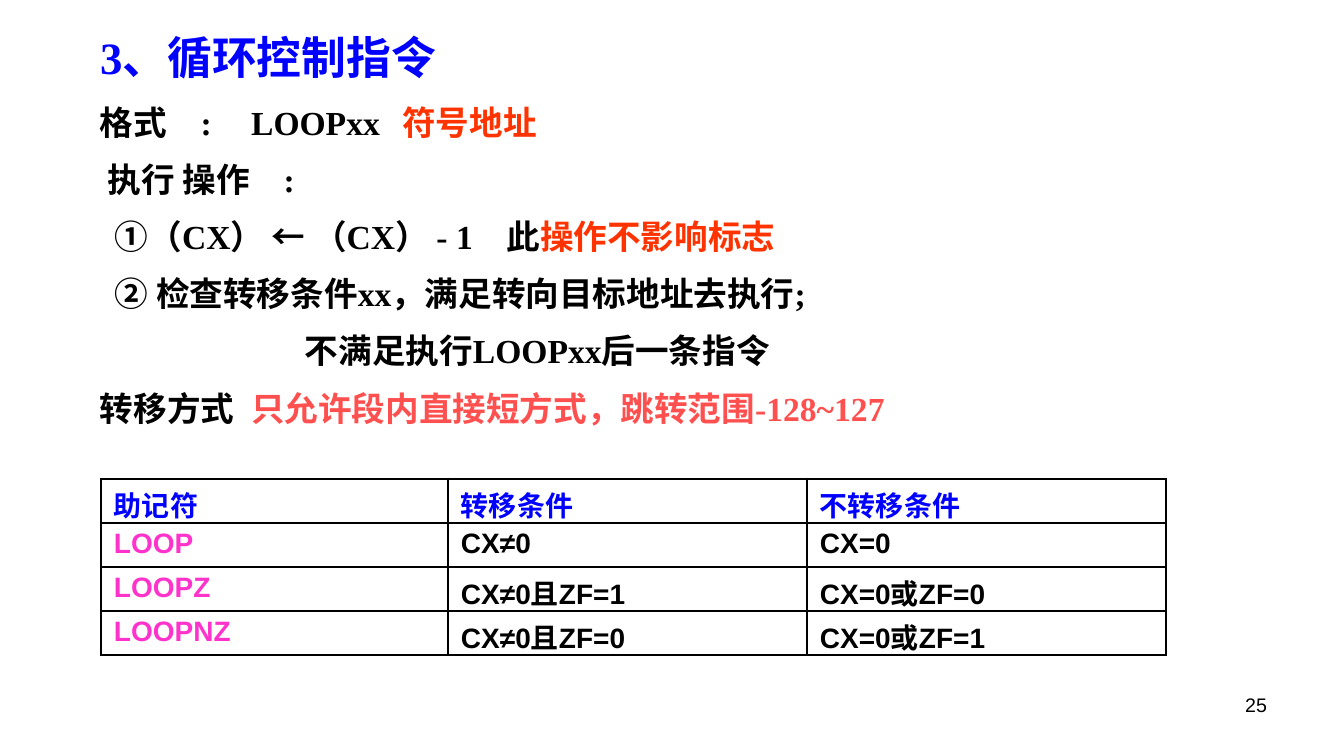
from dataclasses import dataclass

from lxml import etree
from pptx import Presentation
from pptx.dml.color import RGBColor
from pptx.enum.text import MSO_ANCHOR, MSO_AUTO_SIZE, PP_ALIGN
from pptx.oxml.ns import qn
from pptx.util import Pt

PX = 914400 / 100.8
LEFT, RIGHT = PP_ALIGN.LEFT, PP_ALIGN.RIGHT
TOP = MSO_ANCHOR.TOP
FIXED, GROW = MSO_AUTO_SIZE.NONE, MSO_AUTO_SIZE.SHAPE_TO_FIT_TEXT
SERIF, SANS = "Times New Roman", "Arial"
COLORS = {
    "black": "000000",
    "blue": "0000FF",
    "red": "FF3300",
    "coral": "FF5050",
    "pink": "FF33CC",
}


@dataclass
class Line:
    runs: list[tuple[str, str]]
    indent: int = 0
    tabs: tuple[int, ...] = ()


LINES = [
    Line([("格式\t:\tLOOPxx\t", "black"), ("符号地址", "red")], tabs=(110, 154, 359)),
    Line([("执行 操作　:", "black")], indent=8),
    Line([("①（CX） ← （CX） - 1　此", "black"), ("操作不影响标志", "red")], indent=15),
    Line([("② 检查转移条件xx，满足转向目标地址去执行;", "black")], indent=15),
    Line([("不满足执行LOOPxx后一条指令", "black")], indent=205),
    Line([("转移方式\t", "black"), ("只允许段内直接短方式，跳转范围-128~127", "coral")],
         tabs=(151,)),
]
ROWS = [
    ("助记符", "转移条件", "不转移条件"),
    ("LOOP", "CX≠0", "CX=0"),
    ("LOOPZ", "CX≠0且ZF=1", "CX=0或ZF=0"),
    ("LOOPNZ", "CX≠0且ZF=0", "CX=0或ZF=1"),
]
COLS = (347, 359, 359)
ROW_H = 44


def px(n: int) -> int:
    return round(n * PX)


def write(para, runs, *, size: int, font: str = SERIF, bold: bool = True,
          align=LEFT, before: int = 0, indent: int = 0, tabs=()) -> None:
    """Fill a paragraph with (text, color) runs; before is a percentage."""
    para.alignment = align
    props = para._p.get_or_add_pPr()
    props.set("marL", str(px(indent)))
    props.set("indent", "0")
    if before:
        gap = etree.SubElement(props, qn("a:spcBef"))
        etree.SubElement(gap, qn("a:spcPct")).set("val", str(before * 1000))
    if tabs:
        stops = etree.SubElement(props, qn("a:tabLst"))
        for stop in tabs:
            etree.SubElement(stops, qn("a:tab"), pos=str(px(stop)), algn="l")
    for text, color in runs:
        run = para.add_run()
        run.text = text
        run.font.name, run.font.size, run.font.bold = font, Pt(size), bold
        run.font.color.rgb = RGBColor.from_string(COLORS[color])


def place(shape, left: int, top: int, width: int, height: int, fit=FIXED):
    """Move a text shape and return its wrapped, top-anchored frame."""
    shape.left, shape.top = px(left), px(top)
    shape.width, shape.height = px(width), px(height)
    frame = shape.text_frame
    frame.word_wrap, frame.auto_size = True, fit
    frame.vertical_anchor = TOP
    return frame


def add_box(slide, left: int, top: int, width: int, height: int, fit=FIXED):
    return place(slide.shapes.add_textbox(0, 0, 0, 0), left, top, width, height, fit)


def edge(cell, thick: dict[str, bool]) -> None:
    """Draw the four borders of a cell, heavy on the outer sides."""
    props = cell._tc.get_or_add_tcPr()
    for i, (side, heavy) in enumerate(thick.items()):
        line = etree.Element(qn(f"a:ln{side}"), w=str(Pt(2.25 if heavy else 1)))
        fill = etree.SubElement(line, qn("a:solidFill"))
        etree.SubElement(fill, qn("a:srgbClr"), val=COLORS["black"])
        props.insert(i, line)


def add_grid(slide, left: int, top: int) -> None:
    height = ROW_H * len(ROWS)
    table = slide.shapes.add_table(
        len(ROWS), len(COLS), px(left), px(top), px(sum(COLS)), px(height)).table
    table.first_row = table.horz_banding = False
    for col, width in zip(table.columns, COLS):
        col.width = px(width)
    for r, texts in enumerate(ROWS):
        table.rows[r].height = px(ROW_H)
        for c, text in enumerate(texts):
            cell = table.cell(r, c)
            cell.fill.background()
            cell.margin_left = cell.margin_right = px(13)
            cell.margin_top = cell.margin_bottom = px(5)
            color = "blue" if r == 0 else "pink" if c == 0 else "black"
            write(cell.text_frame.paragraphs[0], [(text, color)],
                  size=20, font=SANS, before=20)
            edge(cell, {"L": c == 0, "R": c == len(COLS) - 1,
                        "T": r == 0, "B": r == len(ROWS) - 1})


def main() -> None:
    deck = Presentation()
    deck.slide_width, deck.slide_height = px(1344), px(756)
    slide = deck.slides.add_slide(deck.slide_layouts[5])

    title = place(slide.shapes.title, 90, 25, 1176, 72)
    write(title.paragraphs[0], [("3、循环控制指令", "blue")], size=32, before=50)

    body = add_box(slide, 90, 97, 1176, 358, GROW)
    for i, line in enumerate(LINES):
        para = body.add_paragraph() if i else body.paragraphs[0]
        write(para, line.runs, size=24, before=50, indent=line.indent, tabs=line.tabs)

    add_grid(slide, 101, 479)

    number = add_box(slide, 964, 688, 313, 52)
    write(number.paragraphs[0], [("25", "black")],
          size=14, font=SANS, bold=False, align=RIGHT)
    deck.save("out.pptx")


if __name__ == "__main__":
    main()
